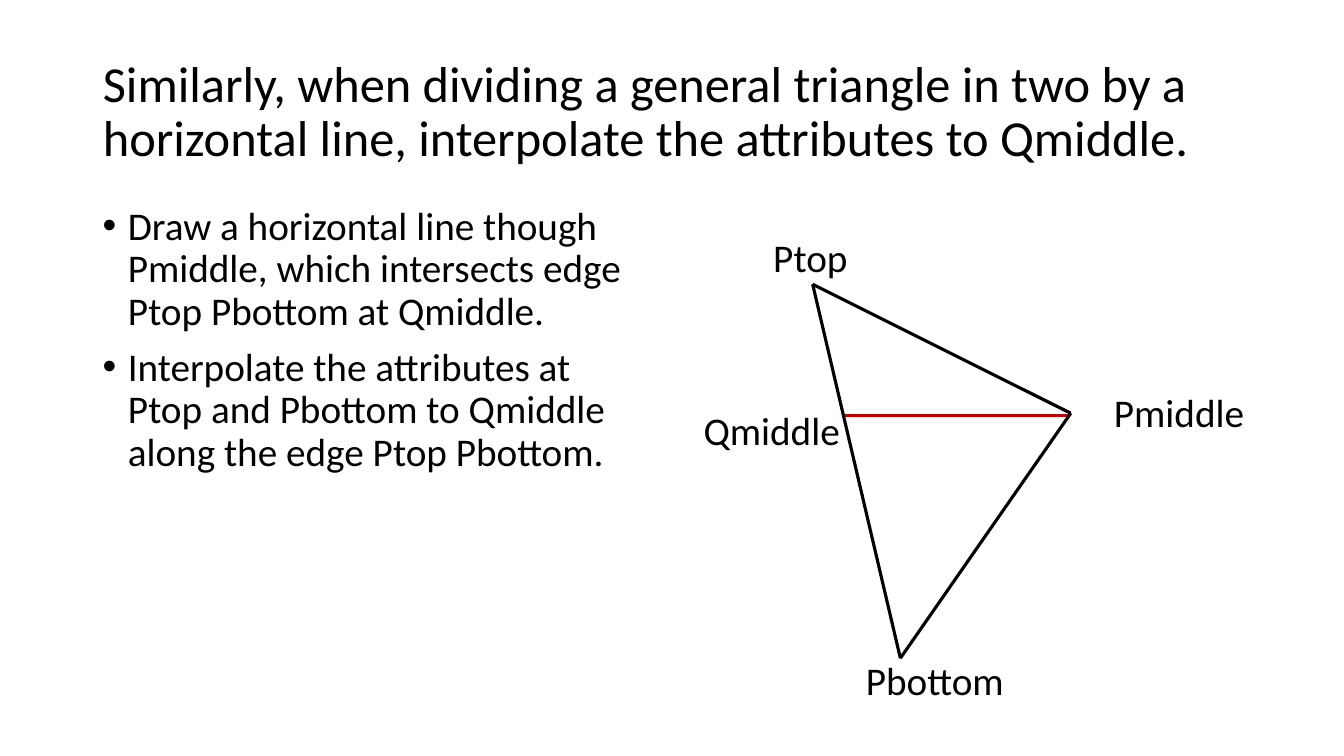
from dataclasses import dataclass

from lxml import etree
from pptx import Presentation
from pptx.dml.color import RGBColor
from pptx.enum.shapes import MSO_CONNECTOR
from pptx.enum.text import MSO_ANCHOR, MSO_AUTO_SIZE, PP_ALIGN
from pptx.oxml.ns import qn
from pptx.util import Inches, Pt

STRAIGHT = MSO_CONNECTOR.STRAIGHT
MIDDLE, TOP = MSO_ANCHOR.MIDDLE, MSO_ANCHOR.TOP
LEFT = PP_ALIGN.LEFT
NO_FIT, GROW = MSO_AUTO_SIZE.NONE, MSO_AUTO_SIZE.SHAPE_TO_FIT_TEXT
TITLE_ONLY = 5


@dataclass(frozen=True)
class Theme:
    font: str = "Calibri"
    title_size: int = 36
    text_size: int = 28
    line_width: float = 2.25
    ink: RGBColor = RGBColor(0x00, 0x00, 0x00)
    accent: RGBColor = RGBColor(0xC0, 0x00, 0x00)


def add_text(p, text, *, font, size, color, spacing=1.0, before=0, bullet=False):
    if bullet:
        pPr = p._p.get_or_add_pPr()
        pPr.set("marL", str(Inches(0.25)))
        pPr.set("indent", str(-Inches(0.25)))
        etree.SubElement(pPr, qn("a:buFont")).set("typeface", "Arial")
        etree.SubElement(pPr, qn("a:buChar")).set("char", "•")
    p.alignment = LEFT
    p.line_spacing = spacing
    p.space_before = Pt(before)
    r = p.add_run()
    r.text = text
    r.font.name = font
    r.font.size = Pt(size)
    r.font.color.rgb = color


class SlideBuilder:
    def __init__(self, prs, theme):
        self.theme = theme
        self.s = prs.slides.add_slide(prs.slide_layouts[TITLE_ONLY])

    def paragraph(self, p, text, size, **fmt):
        add_text(p, text, font=self.theme.font, size=size, color=self.theme.ink, **fmt)

    def title(self, text, x, y, w, h):
        sp = self.s.shapes.title
        sp.left, sp.top, sp.width, sp.height = map(Inches, (x, y, w, h))
        tf = sp.text_frame
        tf.word_wrap = True
        tf.auto_size = NO_FIT
        tf.vertical_anchor = MIDDLE
        self.paragraph(tf.paragraphs[0], text, self.theme.title_size, spacing=0.9)

    def text_box(self, x, y, w, h, wrap, fit):
        tf = self.s.shapes.add_textbox(*map(Inches, (x, y, w, h))).text_frame
        tf.word_wrap = wrap
        tf.auto_size = fit
        tf.vertical_anchor = TOP
        return tf

    def bullets(self, items, x, y, w, h):
        tf = self.text_box(x, y, w, h, True, NO_FIT)
        for i, text in enumerate(items):
            p = tf.add_paragraph() if i else tf.paragraphs[0]
            self.paragraph(p, text, self.theme.text_size, spacing=0.9,
                           before=10 if i else 0, bullet=True)

    def label(self, text, x, y, w):
        tf = self.text_box(x, y, w, 0.57, False, GROW)
        self.paragraph(tf.paragraphs[0], text, self.theme.text_size)

    def line(self, start, end, color):
        c = self.s.shapes.add_connector(STRAIGHT, *map(Inches, (*start, *end)))
        c.line.color.rgb = color
        c.line.width = Pt(self.theme.line_width)
        etree.SubElement(c._element.spPr, qn("a:effectLst"))


def main():
    """Build the slide on splitting a triangle and save it."""
    prs = Presentation()
    prs.slide_width, prs.slide_height = Inches(13.33), Inches(7.5)
    theme = Theme()
    slide = SlideBuilder(prs, theme)

    slide.title("Similarly, when dividing a general triangle in two by a horizontal "
                "line, interpolate the attributes to Qmiddle.", 0.92, 0.4, 11.5, 1.45)
    slide.bullets([
        "Draw a horizontal line though Pmiddle, which intersects edge "
        "Ptop Pbottom at Qmiddle.",
        "Interpolate the attributes at Ptop and Pbottom to Qmiddle "
        "along the edge Ptop Pbottom.",
    ], 0.92, 2, 5.6, 5.03)

    for text, x, y, w in [("Qmiddle", 6.88, 3.98, 1.57), ("Ptop", 7.57, 2.27, 0.95),
                          ("Pbottom", 8.49, 6.46, 1.59), ("Pmiddle", 10.95, 3.8, 1.51)]:
        slide.label(text, x, y, w)

    p_top, p_middle, p_bottom = (8.06, 2.82), (10.62, 4.1), (8.93, 6.53)
    slide.line((8.37, 4.12), (10.61, 4.12), theme.accent)
    for start, end in [(p_top, p_bottom), (p_middle, p_bottom), (p_top, p_middle)]:
        slide.line(start, end, theme.ink)

    prs.save("out.pptx")


if __name__ == "__main__":
    main()
